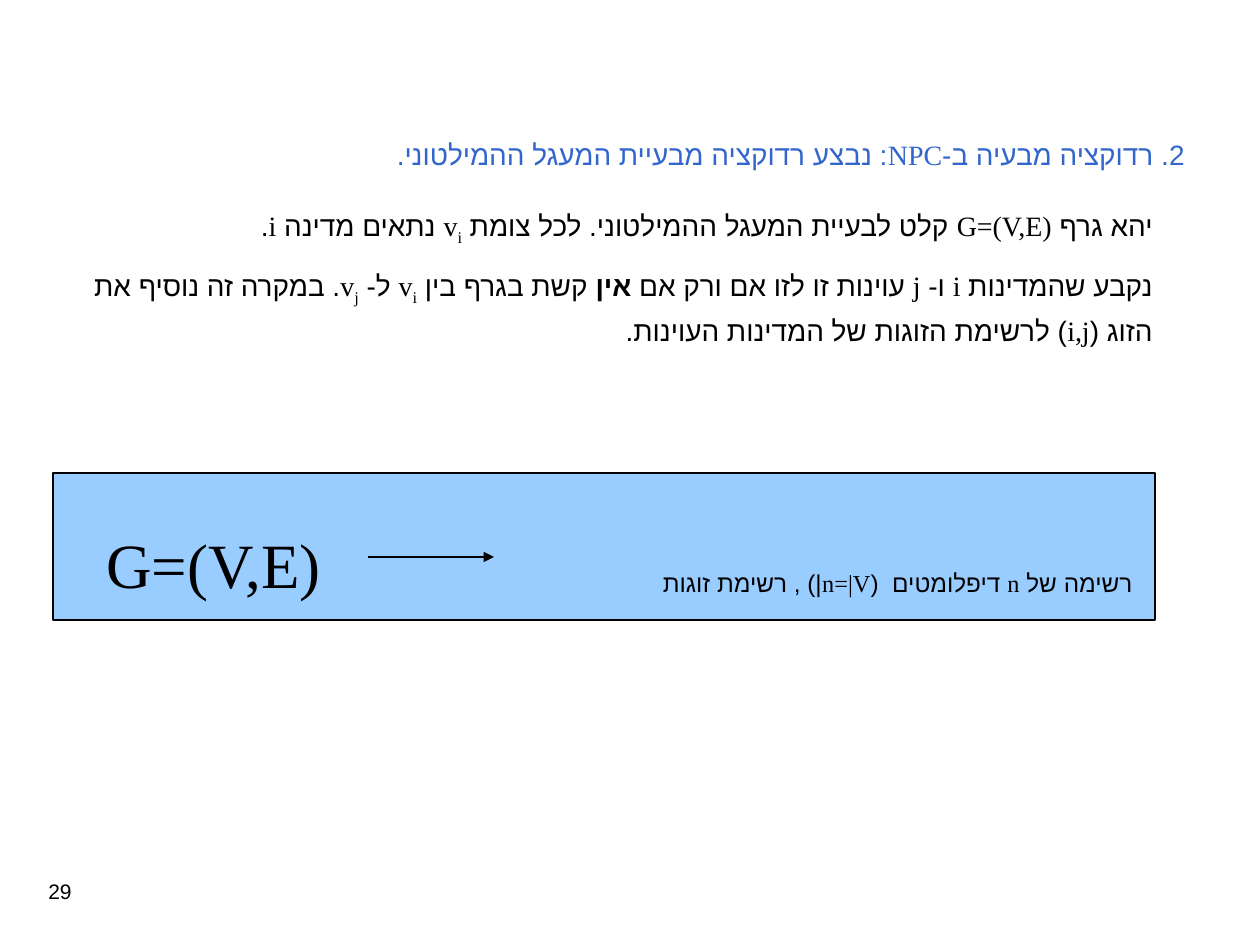
from lxml import etree
from pptx import Presentation
from pptx.dml.color import RGBColor
from pptx.enum.shapes import MSO_CONNECTOR, MSO_SHAPE
from pptx.enum.text import PP_ALIGN
from pptx.oxml.ns import qn
from pptx.util import Inches, Pt

RECT = MSO_SHAPE.RECTANGLE
LINE = MSO_CONNECTOR.STRAIGHT
LEFT, RIGHT = PP_ALIGN.LEFT, PP_ALIGN.RIGHT
BLACK = RGBColor(0x00, 0x00, 0x00)
BLUE = RGBColor(0x33, 0x66, 0xCC)
SKY = RGBColor(0x99, 0xCC, 0xFF)
SERIF, SANS = "Times New Roman", "Arial"
SCALE = Inches(1) / 126


def px(*vals):
    return [round(v * SCALE) for v in vals]


def add_text(place, paras, size, color=BLACK, face=SERIF, align=RIGHT, rtl=True, lead=1.2):
    """Each paragraph is a list of (text, style); style is "", "b" or "sub"."""
    box = slide.shapes.add_textbox(*px(*place))
    frame = box.text_frame
    frame.word_wrap = True
    for n, parts in enumerate(paras):
        para = frame.paragraphs[0] if n == 0 else frame.add_paragraph()
        para.alignment = align
        para.line_spacing = lead
        if n:
            para.space_before = Pt(size / 2)
        if rtl:
            para._p.get_or_add_pPr().set("rtl", "1")
        for text, style in parts:
            run = para.add_run()
            run.text = text
            font = run.font
            font.size = Pt(size)
            font.name = face
            font.color.rgb = color
            font.bold = style == "b"
            props = run._r.get_or_add_rPr()
            if style == "sub":
                props.set("baseline", "-25000")
            etree.SubElement(props, qn("a:cs")).set("typeface", SANS)


prs = Presentation()
prs.slide_width, prs.slide_height = px(1260, 945)
slide = prs.slides.add_slide(prs.slide_layouts[6])

# Slide number
add_text((0, 872, 84, 63), [[("29", "")]], 12, face=SANS, rtl=False, lead=1.0)

# Explanation
add_text((73, 195, 1092, 151), [
    [("יהא גרף G=(V,E) קלט לבעיית המעגל ההמילטוני. לכל צומת v", ""),
     ("i", "sub"), (" נתאים מדינה i.", "")],
    [("נקבע שהמדינות i ו- j עוינות זו לזו אם ורק אם ", ""), ("אין", "b"),
     (" קשת בגרף בין v", ""), ("i", "sub"), (" ל- v", ""), ("j", "sub"),
     (". במקרה זה נוסיף את הזוג (i,j) לרשימת הזוגות של המדינות העוינות.", "")],
], 16)

# Heading
add_text((242, 125, 955, 53),
         [[("2. רדוקציה מבעיה ב-NPC: נבצע רדוקציה מבעיית המעגל ההמילטוני.", "")]],
         16, BLUE)

# Reduction panel
panel = slide.shapes.add_shape(RECT, *px(53, 473, 1102, 147))
panel.shadow.inherit = False
panel.fill.solid()
panel.fill.fore_color.rgb = SKY
panel.line.color.rgb = BLACK
panel.line.width = Pt(0.75)

add_text((420, 522, 725, 53),
         [[("רשימה של n דיפלומטים  (n=|V|) , רשימת זוגות", "sub")]], 24)
add_text((94, 504, 262, 103), [[("G=(V,E)", "")]], 36, align=LEFT, rtl=False)

# Arrow from graph to list
arrow = slide.shapes.add_connector(LINE, *px(368, 557, 494, 557))
arrow.line.color.rgb = BLACK
arrow.line.width = Pt(0.75)
etree.SubElement(arrow.line._get_or_add_ln(), qn("a:tailEnd")).set("type", "triangle")
etree.SubElement(arrow._element.spPr, qn("a:effectLst"))

prs.save("out.pptx")
